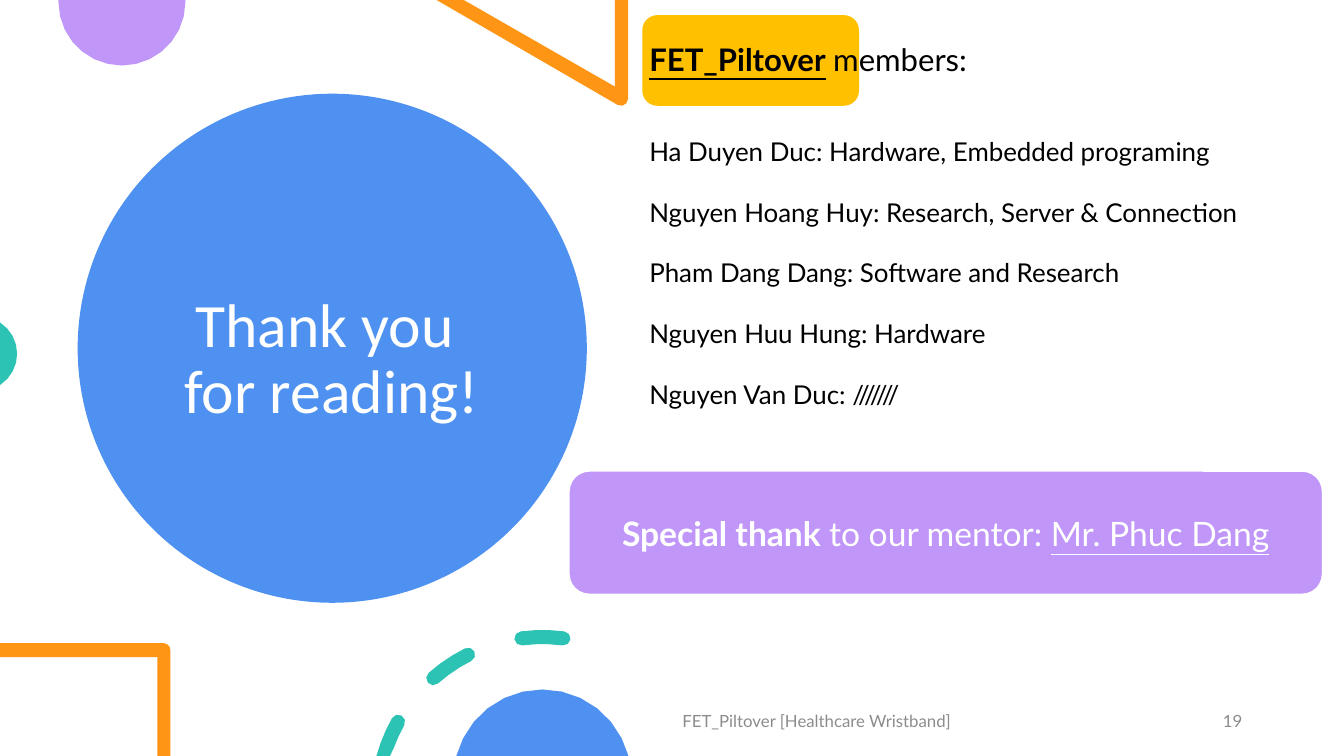
import math

import pptx
import pptx.dml.color
import pptx.enum.shapes
import pptx.enum.text
import pptx.util
from lxml import etree

Inches = pptx.util.Inches
Pt = pptx.util.Pt
RGBColor = pptx.dml.color.RGBColor
ALIGN = pptx.enum.text.PP_ALIGN
ANCHOR = pptx.enum.text.MSO_ANCHOR
SHAPE = pptx.enum.shapes.MSO_SHAPE

# Content: a text is a list of (words, bold, underlined)
TITLE = "Thank you \vfor reading!"
HEADING = [("FET_Piltover", True, True), (" ", True, False), ("members:", False, False)]
MEMBERS = [
    "Ha Duyen Duc: Hardware, Embedded programing",
    "Nguyen Hoang Huy: Research, Server & Connection",
    "Pham Dang Dang: Software and Research",
    "Nguyen Huu Hung: Hardware",
    "Nguyen Van Duc: ///////",
]
THANKS = [("Special thank ", True, False), ("to our mentor: ", False, False),
          ("Mr. Phuc Dang", False, True)]
FOOTERS = [  # words, left, width, alignment
    ("FET_Piltover [Healthcare Wristband]", 6.67, 4.5, ALIGN.LEFT),
    ("19", 11.49, 0.93, ALIGN.RIGHT),
]

BLUE = RGBColor(0x4E, 0x91, 0xF0)
PURPLE = RGBColor(0xC0, 0x97, 0xF8)
ORANGE = RGBColor(0xFF, 0x95, 0x14)
TEAL = RGBColor(0x2C, 0xC3, 0xB4)
YELLOW = RGBColor(0xFF, 0xC0, 0x00)
WHITE = RGBColor(0xFF, 0xFF, 0xFF)
BLACK = RGBColor(0, 0, 0)
GRAY = RGBColor(0x8C, 0x8C, 0x8C)

WIDTH, HEIGHT = 13.33, 7.5
RING_X, RING_Y, RING_RADIUS, RING_HALF = 5.38, 7.96, 1.64, 0.07
DASHES = [(-74.4, -60.8), (-41.3, -26.7), (-7.3, 7.3)]  # degrees from the top


def arc(x, y, radius, start, end, steps):
    """Points along an arc; angles run clockwise from the top."""
    angles = [math.radians(start + (end - start) * i / steps) for i in range(steps + 1)]
    return [(x + radius * math.sin(a), y - radius * math.cos(a)) for a in angles]


def ring_dash(start, end):
    """Round-ended piece of the ring."""
    start_point, end_point = arc(RING_X, RING_Y, RING_RADIUS, start, end, 1)
    return (arc(RING_X, RING_Y, RING_RADIUS + RING_HALF, start, end, 3)
            + arc(*end_point, RING_HALF, end, end + 180, 4)[1:-1]
            + arc(RING_X, RING_Y, RING_RADIUS - RING_HALF, end, start, 3)
            + arc(*start_point, RING_HALF, start + 180, start + 360, 4)[1:-1])


def paint(shape, color):
    shape.shadow.inherit = False
    shape.fill.solid()
    shape.fill.fore_color.rgb = color
    shape.line.fill.background()
    return shape


def add_outline(page, color, *contours):
    """One filled shape of closed contours, cut off at the slide edges."""
    builder = None
    for contour in contours:
        first, *others = [(Inches(min(max(x, 0), WIDTH)), Inches(min(max(y, 0), HEIGHT)))
                          for x, y in contour]
        if builder is None:
            builder = page.shapes.build_freeform(*first, scale=1.0)
        else:
            builder.move_to(*first)
        builder.add_line_segments(others, close=True)
    paint(builder.convert_to_shape(), color)


def add_preset(page, kind, place, color):
    return paint(page.shapes.add_shape(kind, *map(Inches, place)), color)


def place_box(box, left, top, width, height):
    box.left, box.top = Inches(left), Inches(top)
    box.width, box.height = Inches(width), Inches(height)


def style(para, size, color, name="Lato", align=ALIGN.LEFT):
    para.alignment = align
    para.font.size, para.font.name = Pt(size), name
    para.font.color.rgb = color


def add_spans(para, spans):
    for words, bold, underlined in spans:
        span = para.add_run()
        span.text = words
        span.font.bold, span.font.underline = bold, underlined


def set_frame(box, anchor):
    frame = box.text_frame
    frame.word_wrap = True
    frame.auto_size = pptx.enum.text.MSO_AUTO_SIZE.NONE
    frame.vertical_anchor = anchor
    return frame


def remove_bullet(para):
    properties = para._p.get_or_add_pPr()
    properties.set("marL", "0")
    properties.set("indent", "0")
    etree.SubElement(properties, pptx.oxml.ns.qn("a:buNone"))


def main():
    deck = pptx.Presentation()
    deck.slide_width, deck.slide_height = Inches(WIDTH), Inches(HEIGHT)
    page = deck.slides.add_slide(deck.slide_layouts[1])
    title, body = page.placeholders[0], page.placeholders[1]

    # Decoration
    add_preset(page, SHAPE.OVAL, (0.77, 0.93, 5.05, 5.05), BLUE)
    add_outline(page, PURPLE, [(0.58, 0), (1.84, 0)] + arc(1.21, 0.02, 0.63, 90, 270, 14))
    add_outline(page, ORANGE, [(6.23, 0), (6.1, 0), (6.1, 0.86), (4.6, 0), (4.33, 0)]
                + arc(6.16, 0.98, 0.07, 210, 90, 3))
    add_outline(page, TEAL, arc(-0.2, 3.51, 0.37, 33, 147, 8))
    add_outline(page, ORANGE, [(0, 6.38)] + arc(1.62, 6.45, 0.07, 0, 90, 3)
                + [(1.69, 7.5), (1.56, 7.5), (1.56, 6.52), (0, 6.52)])
    add_outline(page, TEAL, *[ring_dash(start, end) for start, end in DASHES])
    add_outline(page, BLUE, arc(5.38, 7.72, 0.88, -76, 76, 12))
    add_preset(page, SHAPE.ROUNDED_RECTANGLE, (6.37, 0.15, 2.15, 0.9), YELLOW)

    # Placeholders go in front of the decoration
    tree = title.element.getparent()
    tree.append(title.element)
    tree.append(body.element)

    # Title
    place_box(title, 1.52, 1.35, 3.54, 4.45)
    frame = set_frame(title, ANCHOR.MIDDLE)
    frame.text = TITLE
    style(frame.paragraphs[0], 44, WHITE, "Calibri", ALIGN.CENTER)
    frame.paragraphs[0].line_spacing = 0.9

    # Member list
    place_box(body, 6.34, 0.39, 6.63, 4.06)
    frame = set_frame(body, ANCHOR.TOP)
    heading = frame.paragraphs[0]
    add_spans(heading, HEADING)
    style(heading, 22.2, BLACK)
    heading.line_spacing, heading.space_before = 0.9, Pt(10)
    remove_bullet(heading)
    for index, member in enumerate(MEMBERS):
        para = frame.add_paragraph()
        para.text = member
        style(para, 18.5, BLACK)
        para.line_spacing = 1.5
        para.space_before = Pt(10 if index else 30)
        remove_bullet(para)

    # Footer and slide number
    for words, left, width, align in FOOTERS:
        box = page.shapes.add_textbox(Inches(left), Inches(6.95), Inches(width), Inches(0.4))
        frame = set_frame(box, ANCHOR.MIDDLE)
        frame.text = words
        style(frame.paragraphs[0], 12, GRAY, align=align)

    # Thanks to the mentor
    banner = add_preset(page, SHAPE.ROUNDED_RECTANGLE, (5.64, 4.67, 7.48, 1.23), PURPLE)
    banner.line.color.rgb = WHITE
    banner.line.width = Pt(1.5)
    para = set_frame(banner, ANCHOR.MIDDLE).paragraphs[0]
    add_spans(para, THANKS)
    style(para, 24, WHITE, align=ALIGN.CENTER)

    deck.save("out.pptx")


if __name__ == "__main__":
    main()
